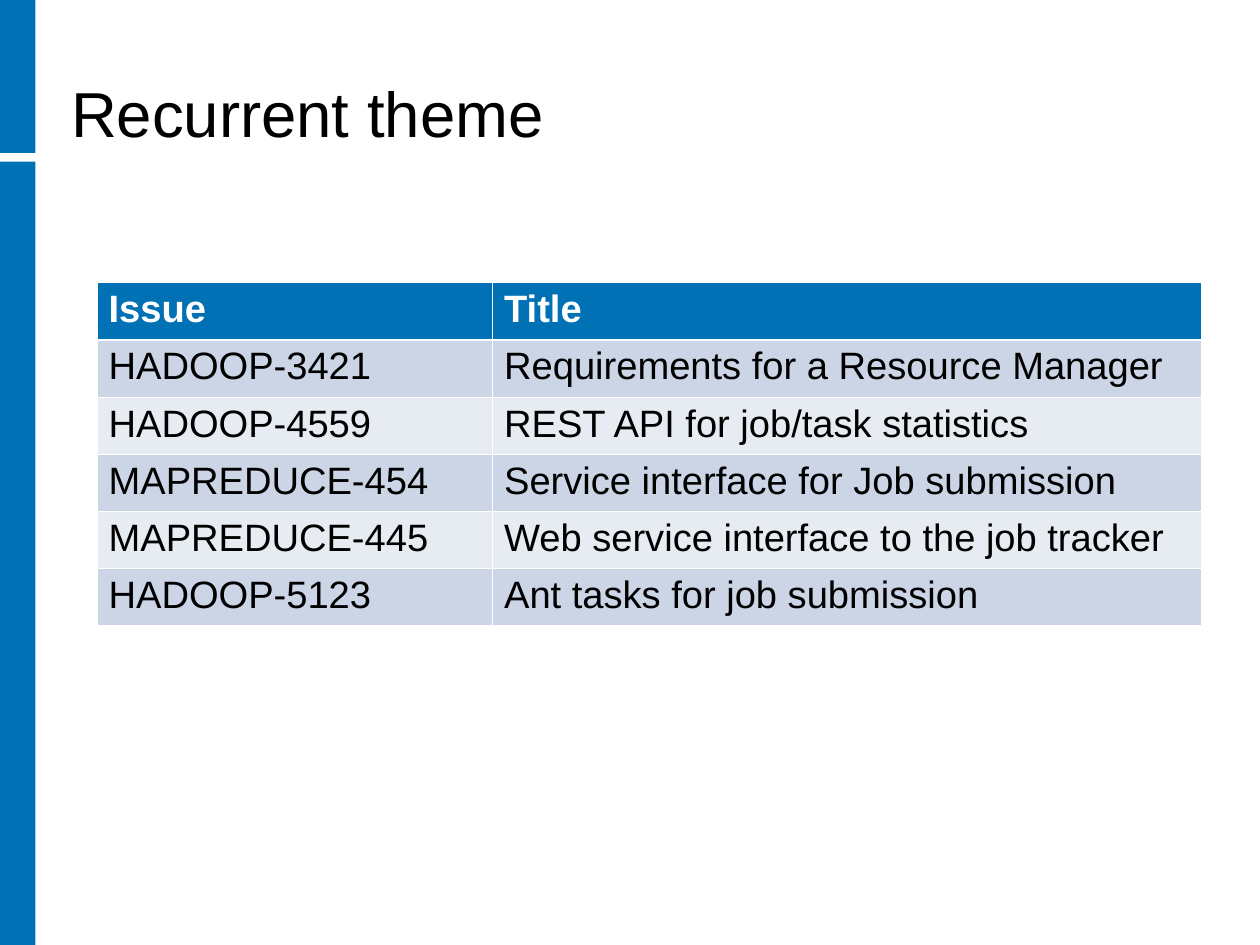
from lxml.etree import SubElement
from pptx import Presentation
from pptx.dml.color import RGBColor
from pptx.enum.shapes import MSO_SHAPE
from pptx.enum.text import MSO_ANCHOR
from pptx.oxml.ns import qn
from pptx.util import Cm, Pt

BLUE = RGBColor(0x00, 0x71, 0xB4)
DARK_BAND = RGBColor(0xCB, 0xD5, 0xE5)
LIGHT_BAND = RGBColor(0xE7, 0xEB, 0xF2)
BLACK = RGBColor(0x00, 0x00, 0x00)
WHITE = RGBColor(0xFF, 0xFF, 0xFF)

SLIDE_HEIGHT = 21
BAR_WIDTH = 0.79
LOWER_BAR_TOP = 3.59
ROW_HEIGHT = 1.27
THIN, THICK = Pt(0.45), Pt(1.47)

ISSUES = [
    ("Issue", "Title"),
    ("HADOOP-3421", "Requirements for a Resource Manager"),
    ("HADOOP-4559", "REST API for job/task statistics"),
    ("MAPREDUCE-454", "Service interface for Job submission"),
    ("MAPREDUCE-445", "Web service interface to the job tracker"),
    ("HADOOP-5123", "Ant tasks for job submission"),
]


class SlideBuilder:
    font_name = "Arial"

    def __init__(self, slide):
        self.slide = slide

    def style(self, paragraph, size, color, bold=False):
        font = paragraph.font
        font.name = self.font_name
        font.size = Pt(size)
        font.bold = bold
        font.color.rgb = color

    def bar(self, top, height):
        shape = self.slide.shapes.add_shape(
            MSO_SHAPE.RECTANGLE, 0, Cm(top), Cm(BAR_WIDTH), Cm(height))
        shape.shadow.inherit = False
        shape.fill.solid()
        shape.fill.fore_color.rgb = BLUE
        shape.line.fill.background()

    def title(self, text, left, top, width, height):
        box = self.slide.shapes.add_textbox(Cm(left), Cm(top), Cm(width), Cm(height))
        frame = box.text_frame
        frame.word_wrap = True
        frame.vertical_anchor = MSO_ANCHOR.BOTTOM
        frame.margin_left = frame.margin_right = Cm(0.28)
        frame.margin_top, frame.margin_bottom = Cm(0.1), Cm(0.15)
        paragraph = frame.paragraphs[0]
        paragraph.text = text
        paragraph.line_spacing = 0.87
        self.style(paragraph, 40, BLACK)

    def borders(self, cell, top, bottom):
        """Draw white cell borders; call before the cell is filled."""
        properties = cell._tc.get_or_add_tcPr()
        sides = {"a:lnL": THIN, "a:lnR": THIN, "a:lnT": top, "a:lnB": bottom}
        for tag, width in sides.items():
            line = SubElement(properties, qn(tag), w=str(int(width)))
            fill = SubElement(line, qn("a:solidFill"))
            SubElement(fill, qn("a:srgbClr"), val=str(WHITE))

    def table(self, rows, left, top, column_widths):
        table = self.slide.shapes.add_table(
            len(rows), len(column_widths), Cm(left), Cm(top),
            Cm(sum(column_widths)), Cm(ROW_HEIGHT * len(rows))).table
        for column, width in zip(table.columns, column_widths):
            column.width = Cm(width)
        for row_index, texts in enumerate(rows):
            is_header = row_index == 0
            band = DARK_BAND if row_index % 2 else LIGHT_BAND
            for column_index, text in enumerate(texts):
                cell = table.cell(row_index, column_index)
                self.borders(cell, THICK if row_index == 1 else THIN,
                             THICK if is_header else THIN)
                cell.fill.solid()
                cell.fill.fore_color.rgb = BLUE if is_header else band
                paragraph = cell.text_frame.paragraphs[0]
                paragraph.text = text
                self.style(paragraph, 24, WHITE if is_header else BLACK, is_header)


def main():
    presentation = Presentation()
    presentation.slide_width = Cm(28)
    presentation.slide_height = Cm(SLIDE_HEIGHT)
    builder = SlideBuilder(presentation.slides.add_slide(presentation.slide_layouts[6]))
    builder.bar(LOWER_BAR_TOP, SLIDE_HEIGHT - LOWER_BAR_TOP)
    builder.bar(0, 3.4)
    builder.title("Recurrent theme", 1.3, 0, 25.2, 3.5)
    builder.table(ISSUES, 2.16, 6.28, (8.79, 15.75))
    presentation.save("out.pptx")


if __name__ == "__main__":
    main()
